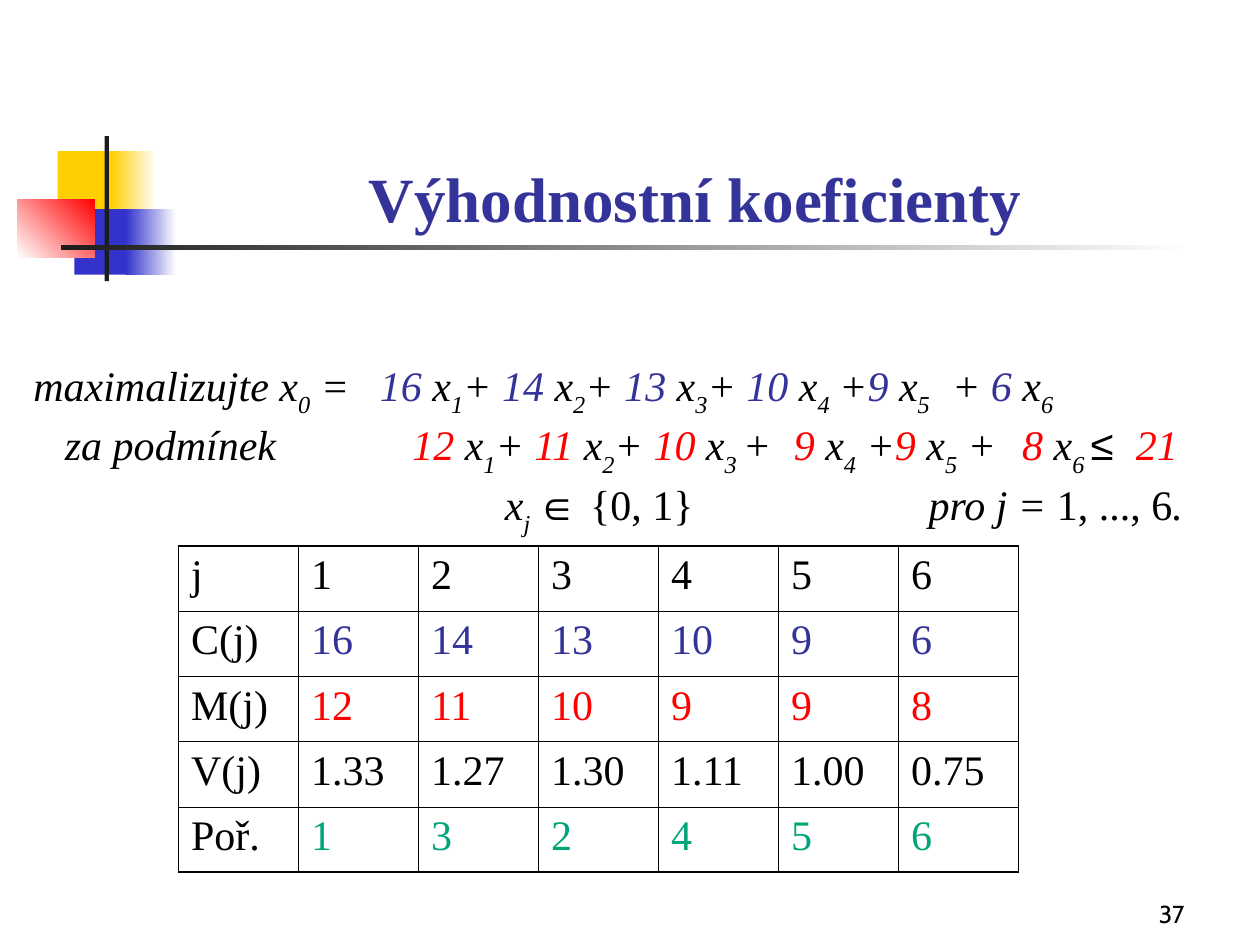
import lxml.etree
import pptx
import pptx.dml.color
import pptx.enum.shapes
import pptx.enum.text
import pptx.oxml.ns
import pptx.util

Pt = pptx.util.Pt
RGBColor = pptx.dml.color.RGBColor
Anchor = pptx.enum.text.MSO_ANCHOR
Align = pptx.enum.text.PP_ALIGN
qn = pptx.oxml.ns.qn

BLACK = RGBColor(0x00, 0x00, 0x00)
WHITE = RGBColor(0xFF, 0xFF, 0xFF)
CHARCOAL = RGBColor(0x1C, 0x1C, 0x1C)
YELLOW = RGBColor(0xFF, 0xCF, 0x01)
BLUE = RGBColor(0x33, 0x33, 0xCC)
INDIGO = RGBColor(0x33, 0x33, 0x99)
RED = RGBColor(0xFF, 0x00, 0x00)
GREEN = RGBColor(0x00, 0xA4, 0x79)

SERIF = "Times New Roman"

# left, top, width, height, start colour, end colour, gradient angle
ORNAMENT = [
    (33, 86.4, 34.6, 37.4, YELLOW, None, 0),
    (63.4, 86.4, 26, 37.4, YELLOW, WHITE, 0),
    (42.5, 119.5, 33.1, 37.4, BLUE, None, 0),
    (72, 119.5, 28.8, 37.4, BLUE, WHITE, 0),
    (10, 113.8, 44, 33.1, WHITE, RED, 45),
    (59.8, 77.8, 2.4, 82.8, CHARCOAL, None, 0),
    (34.6, 140.2, 648, 2.5, CHARCOAL, WHITE, 0),
]

# coefficient, variable, index, what follows
OBJECTIVE = [
    ("16 ", "x", "1", "+ "), ("14", " x", "2", "+ "),
    ("13 ", "x", "3", "+ "), ("10 ", "x", "4", "\t+"),
    ("9", " x", "5", "\t+ "), ("6 ", "x", "6", ""),
]
CONSTRAINT = [
    ("12 ", "x", "1", "+ "), ("11", " x", "2", "+ "),
    ("10 ", "x", "3 ", "+\t"), ("9 ", "x", "4", " +"),
    ("9", " x", "5", " +\t"), ("8 ", "x", "6 ", ""),
]

COEFFICIENTS = [
    (BLACK, ["j", "1", "2", "3", "4", "5", "6"]),
    (INDIGO, ["C(j)", "16", "14", "13", "10", "9", "6"]),
    (RED, ["M(j)", "12", "11", "10", "9", "9", "8"]),
    (BLACK, ["V(j)", "1.33", "1.27", "1.30", "1.11", "1.00", "0.75"]),
    (GREEN, ["Poř.", "1", "3", "2", "4", "5", "6"]),
]


def add_run(paragraph, text, color=BLACK, size=24, font=SERIF,
            bold=False, italic=False, subscript=False):
    run = paragraph.add_run()
    run.text = text
    run.font.name = font
    run.font.size = Pt(size)
    run.font.color.rgb = color
    run.font.bold = bold
    run.font.italic = italic
    if subscript:
        run.font._element.set("baseline", "-30000")


def set_tabs(paragraph, positions):
    tab_list = lxml.etree.SubElement(paragraph._p.get_or_add_pPr(), qn("a:tabLst"))
    for position in positions:
        lxml.etree.SubElement(tab_list, qn("a:tab"), pos=str(Pt(position)), algn="l")


def add_ornament(slide):
    for left, top, width, height, start, end, angle in ORNAMENT:
        block = slide.shapes.add_shape(
            pptx.enum.shapes.MSO_SHAPE.RECTANGLE,
            Pt(left), Pt(top), Pt(width), Pt(height))
        block.shadow.inherit = False
        block.line.fill.background()
        if end is None:
            block.fill.solid()
            block.fill.fore_color.rgb = start
        else:
            block.fill.gradient()
            block.fill.gradient_angle = angle
            for stop, color in zip(block.fill.gradient_stops, (start, end)):
                stop.color.rgb = color


def place_title(slide, left, top, width, height):
    title = slide.shapes.title
    title.left, title.top = Pt(left), Pt(top)
    title.width, title.height = Pt(width), Pt(height)
    frame = title.text_frame
    frame.auto_size = pptx.enum.text.MSO_AUTO_SIZE.NONE
    frame.vertical_anchor = Anchor.BOTTOM
    paragraph = frame.paragraphs[0]
    paragraph.alignment = Align.CENTER
    add_run(paragraph, "Výhodnostní koeficienty", INDIGO, size=36, bold=True)


def add_text_frame(slide, left, top, width, height):
    frame = slide.shapes.add_textbox(
        Pt(left), Pt(top), Pt(width), Pt(height)).text_frame
    frame.word_wrap = True
    return frame


def add_page_number(slide, left, top, width, height):
    frame = add_text_frame(slide, left, top, width, height)
    frame.vertical_anchor = Anchor.BOTTOM
    paragraph = frame.paragraphs[0]
    paragraph.alignment = Align.RIGHT
    add_run(paragraph, "37", size=14, font="Cabin")


def add_terms(paragraph, terms, color):
    for coefficient, variable, index, operator in terms:
        add_run(paragraph, coefficient, color, italic=True)
        add_run(paragraph, variable, italic=True)
        add_run(paragraph, index, italic=True, subscript=True)
        if operator:
            add_run(paragraph, operator, italic=True)


def add_problem(slide, left, top, width, height):
    """Write the objective, the constraint and the variable domain."""
    frame = add_text_frame(slide, left, top, width, height)
    frame.margin_top = Pt(31.2)

    objective = frame.paragraphs[0]
    set_tabs(objective, [198, 460.5, 525])
    add_run(objective, "maximalizujte x", italic=True)
    add_run(objective, "0", italic=True, subscript=True)
    add_run(objective, " =\t", italic=True)
    add_terms(objective, OBJECTIVE, INDIGO)

    constraint = frame.add_paragraph()
    set_tabs(constraint, [18, 216.5, 434.5, 565, 630])
    add_run(constraint, "\tza podmínek\t", italic=True)
    add_terms(constraint, CONSTRAINT, RED)
    add_run(constraint, "≤\t", font="Arial", italic=True)
    add_run(constraint, "21", RED, italic=True)

    domain = frame.add_paragraph()
    set_tabs(domain, [269.5, 511.5])
    add_run(domain, "\tx", italic=True)
    add_run(domain, "j ", italic=True, subscript=True)
    add_run(domain, "∈ ", font="Arial", italic=True)
    add_run(domain, "{0, 1}\t")
    add_run(domain, "pro j = ", italic=True)
    add_run(domain, "1, ..., 6")
    add_run(domain, ".", italic=True)


def set_border(cell, side, width):
    line = lxml.etree.SubElement(
        cell._tc.get_or_add_tcPr(), qn("a:ln" + side), w=str(Pt(width)))
    fill = lxml.etree.SubElement(line, qn("a:solidFill"))
    lxml.etree.SubElement(fill, qn("a:srgbClr"), val=str(BLACK))


def add_coefficient_table(slide, left, top, width, height):
    row_count, column_count = len(COEFFICIENTS), len(COEFFICIENTS[0][1])
    table = slide.shapes.add_table(
        row_count, column_count, Pt(left), Pt(top), Pt(width), Pt(height)).table
    table.first_row = table.horz_banding = False
    for r, (color, labels) in enumerate(COEFFICIENTS):
        for c, label in enumerate(labels):
            cell = table.cell(r, c)
            outer_sides = {"L": c == 0, "R": c == column_count - 1,
                           "T": r == 0, "B": r == row_count - 1}
            for side, is_outer in outer_sides.items():
                set_border(cell, side, 1.08 if is_outer else 0.45)
            cell.fill.background()
            add_run(cell.text_frame.paragraphs[0], label, color if c else BLACK)


def main():
    presentation = pptx.Presentation()
    presentation.slide_width, presentation.slide_height = Pt(720), Pt(540)
    slide = presentation.slides.add_slide(presentation.slide_layouts[5])
    add_ornament(slide)
    add_page_number(slide, 534, 498, 150, 36)
    place_title(slide, 90.5, 48, 613.5, 90)
    add_problem(slide, 12, 174, 696, 138)
    add_coefficient_table(slide, 102, 312, 480, 186.5)
    presentation.save("out.pptx")


if __name__ == "__main__":
    main()
